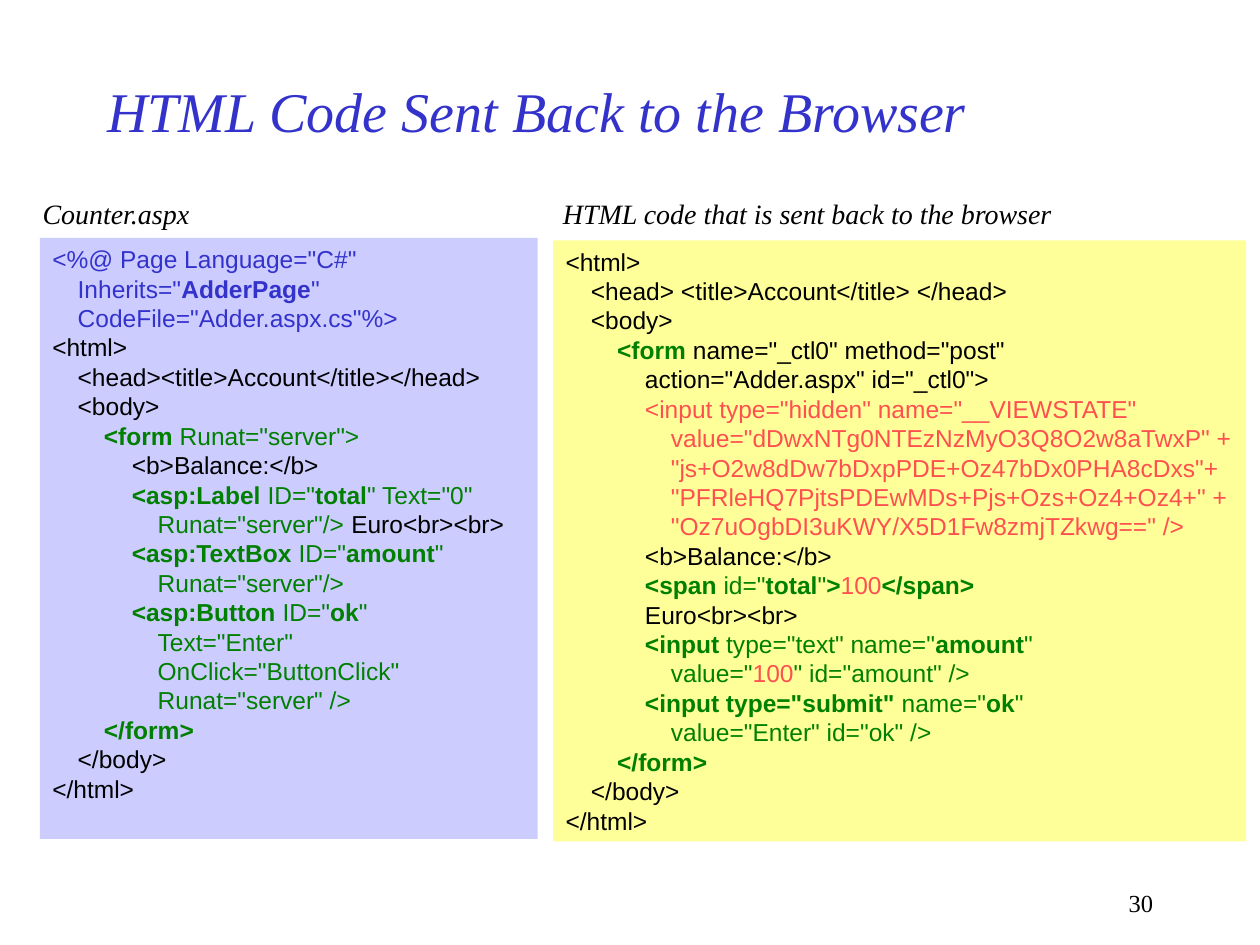
from lxml import etree
from pptx import Presentation
from pptx.dml.color import RGBColor
from pptx.enum.shapes import MSO_SHAPE
from pptx.enum.text import MSO_ANCHOR, MSO_AUTO_SIZE, PP_ALIGN
from pptx.oxml.ns import qn
from pptx.util import Pt

RECTANGLE = MSO_SHAPE.RECTANGLE
TOP, MIDDLE = MSO_ANCHOR.TOP, MSO_ANCHOR.MIDDLE
LEFT, RIGHT = PP_ALIGN.LEFT, PP_ALIGN.RIGHT
GROW, FIXED = MSO_AUTO_SIZE.SHAPE_TO_FIT_TEXT, MSO_AUTO_SIZE.NONE

BLACK, BLUE, GREEN, RED = "000000", "3333CC", "008000", "FF5050"
SERIF, SANS = "Times New Roman", "Arial"
BOLD_MARK = "**"
CODE_STOPS = [14.5, 29.5, 45.4, 60.2]

TITLE = "HTML Code Sent Back to the Browser"
PAGE_NUMBER = "30"
CAPTIONS = [
    ("Counter.aspx", (17.3, 108.7, 100, 26.6)),
    ("HTML code that is sent back to the browser", (314.6, 108.7, 294.5, 26.6)),
]

SOURCE_PAGE = [
    (0, (BLUE, '<%@ Page Language="C#"')),
    (1, (BLUE, 'Inherits="**AdderPage**"')),
    (1, (BLUE, 'CodeFile="Adder.aspx.cs"%>')),
    (0, (BLACK, '<html>')),
    (1, (BLACK, '<head><title>Account</title></head>')),
    (1, (BLACK, '<body>')),
    (2, (GREEN, '**<form** Runat="server">')),
    (3, (BLACK, '<b>Balance:</b>')),
    (3, (GREEN, '**<asp:Label** ID="**total**" Text="0"')),
    (4, (GREEN, 'Runat="server"/> '), (BLACK, 'Euro<br><br>')),
    (3, (GREEN, '**<asp:TextBox** ID="**amount**"')),
    (4, (GREEN, 'Runat="server"/>')),
    (3, (GREEN, '**<asp:Button** ID="**ok**"')),
    (4, (GREEN, 'Text="Enter"')),
    (4, (GREEN, 'OnClick="ButtonClick"')),
    (4, (GREEN, 'Runat="server" />')),
    (2, (GREEN, '**</form>**')),
    (1, (BLACK, '</body>')),
    (0, (BLACK, '</html>')),
]

SENT_HTML = [
    (0, (BLACK, '<html>')),
    (1, (BLACK, '<head> <title>Account</title> </head>')),
    (1, (BLACK, '<body>')),
    (2, (GREEN, '**<form**'), (BLACK, ' name="_ctl0" method="post"')),
    (3, (BLACK, 'action="Adder.aspx" id="_ctl0">')),
    (3, (RED, '<input type="hidden" name="__VIEWSTATE"')),
    (4, (RED, 'value="dDwxNTg0NTEzNzMyO3Q8O2w8aTwxP" +')),
    (4, (RED, '"js+O2w8dDw7bDxpPDE+Oz47bDx0PHA8cDxs"+')),
    (4, (RED, '"PFRleHQ7PjtsPDEwMDs+Pjs+Ozs+Oz4+Oz4+" +')),
    (4, (RED, '"Oz7uOgbDI3uKWY/X5D1Fw8zmjTZkwg==" />')),
    (3, (BLACK, '<b>Balance:</b>')),
    (3, (GREEN, '**<span **id="**total**"**>**'), (RED, '100'), (GREEN, '**</span>**')),
    (3, (BLACK, 'Euro<br><br>')),
    (3, (GREEN, '**<input **type="text" name="**amount**"')),
    (4, (GREEN, 'value="'), (RED, '100'), (GREEN, '" id="amount" />')),
    (3, (GREEN, '**<input type="submit" **name="**ok**"')),
    (4, (GREEN, 'value="Enter" id="ok" />')),
    (2, (GREEN, '**</form>**')),
    (1, (BLACK, '</body>')),
    (0, (BLACK, '</html>')),
]

CODE_PANELS = [
    (SOURCE_PAGE, "CCCCFF", True, (22.8, 136, 284.4, 343.4)),
    (SENT_HTML, "FFFF99", False, (316.1, 137.4, 396, 343.4)),
]


def rgb(value):
    return RGBColor.from_string(value)


def add_tab_stops(paragraph, stops):
    tab_list = etree.SubElement(paragraph._p.get_or_add_pPr(), qn("a:tabLst"))
    for stop in stops:
        etree.SubElement(tab_list, qn("a:tab"), pos=str(int(Pt(stop))), algn="l")


def write(shape, lines, size=14, font=SERIF, italic=False, align=LEFT,
          anchor=TOP, wrap=True, stops=()):
    frame = shape.text_frame
    frame.word_wrap = wrap
    frame.auto_size = FIXED if wrap else GROW
    frame.vertical_anchor = anchor
    for number, (depth, *pieces) in enumerate(lines):
        paragraph = frame.add_paragraph() if number else frame.paragraphs[0]
        paragraph.alignment = align
        if stops:
            add_tab_stops(paragraph, stops)
        color, first = pieces[0]
        pieces[0] = color, "\t" * depth + first
        for color, marked in pieces:
            for part, words in enumerate(marked.split(BOLD_MARK)):
                if not words:
                    continue
                run = paragraph.add_run()
                run.text = words
                run.font.name = font
                run.font.size = Pt(size)
                run.font.bold = part % 2 == 1
                run.font.italic = italic
                run.font.color.rgb = rgb(color)


def main():
    deck = Presentation()
    deck.slide_width, deck.slide_height = Pt(720), Pt(540)
    shapes = deck.slides.add_slide(deck.slide_layouts[6]).shapes

    def text_box(box):
        return shapes.add_textbox(*map(Pt, box))

    write(text_box((516.2, 504, 149.8, 23.8)), [(0, (BLACK, PAGE_NUMBER))],
          align=RIGHT)
    write(text_box((54.2, 36, 540, 54)), [(0, (BLUE, TITLE))],
          size=32, italic=True, anchor=MIDDLE)

    for code, fill, wrap, box in CODE_PANELS:
        panel = shapes.add_shape(RECTANGLE, *map(Pt, box))
        panel.shadow.inherit = False
        panel.fill.solid()
        panel.fill.fore_color.rgb = rgb(fill)
        panel.line.fill.background()
        write(panel, code, font=SANS, wrap=wrap, stops=CODE_STOPS)

    for caption, box in CAPTIONS:
        write(text_box(box), [(0, (BLACK, caption))],
              size=16, italic=True, wrap=False)

    deck.save("out.pptx")


if __name__ == "__main__":
    main()
